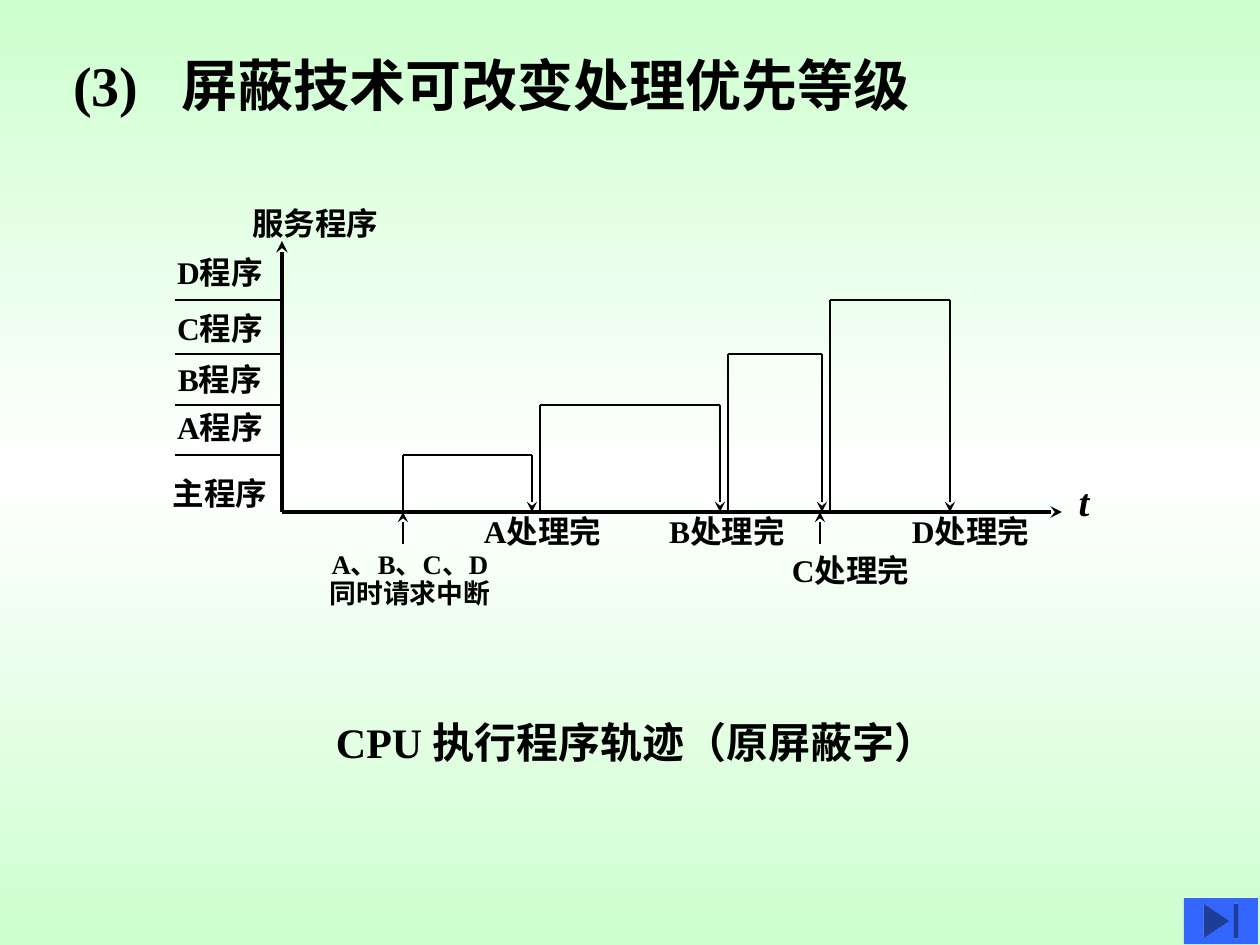
from lxml.etree import SubElement as Sub
from pptx import Presentation as Deck
from pptx.dml.color import RGBColor as Rgb
from pptx.enum.shapes import MSO_CONNECTOR as Link, MSO_SHAPE as Shape
from pptx.enum.text import MSO_ANCHOR as Anchor, PP_ALIGN as Align
from pptx.oxml import parse_xml as parse
from pptx.oxml.ns import nsdecls, qn
from pptx.util import Emu, Pt

SCALE = 914400 / 126
FONT = "Times New Roman"
HUES = {"ink": "000000", "mint": "CDFFCE", "white": "FFFFFF", "blue": "3366FF"}


def px(n):
    return Emu(round(n * SCALE))


def place(shape, x, y, w, h):
    shape.left, shape.top, shape.width, shape.height = map(px, (x, y, w, h))


def write(par, text, size, align=Align.CENTER, slant=False, lead=None):
    par.alignment = align
    par.space_before = Pt(0)
    if lead:
        par.line_spacing = lead
    run = par.add_run()
    run.text = text
    font = run.font
    font.name, font.size, font.bold, font.italic = FONT, Pt(size), True, slant
    font.color.rgb = Rgb.from_string(HUES["ink"])


def inset(frame, side=0, top=0):
    frame.margin_left = frame.margin_right = px(side)
    frame.margin_top = frame.margin_bottom = px(top)


def label(slide, box, lines, size=18, **style):
    frame = slide.shapes.add_textbox(*map(px, box)).text_frame
    frame.word_wrap = True
    inset(frame)
    for i, text in enumerate(lines):
        par = frame.add_paragraph() if i else frame.paragraphs[0]
        write(par, text, size, **style)
    return frame


def line(slide, x1, y1, x2, y2, width, arrow=False):
    link = slide.shapes.add_connector(Link.STRAIGHT, *map(px, (x1, y1, x2, y2)))
    link.line.color.rgb = Rgb.from_string(HUES["ink"])
    link.line.width = Pt(width)
    if arrow:
        Sub(link.line._get_or_add_ln(), qn("a:tailEnd"), type="stealth")
    Sub(link._element.spPr, qn("a:effectLst"))


def paint(slide):
    stops = "".join(
        f'<a:gs pos="{pos}"><a:srgbClr val="{HUES[hue]}"/></a:gs>'
        for pos, hue in ((0, "mint"), (50000, "white"), (100000, "mint"))
    )
    slide.element.cSld.insert(0, parse(
        f'<p:bg {nsdecls("p", "a")}><p:bgPr><a:gradFill rotWithShape="1">'
        f'<a:gsLst>{stops}</a:gsLst><a:lin ang="5400000" scaled="0"/>'
        "</a:gradFill><a:effectLst/></p:bgPr></p:bg>"
    ))


def head(slide, x, y, w, h):
    title = slide.shapes.title
    place(title, x, y, w, h)
    frame = title.text_frame
    inset(frame)
    frame.word_wrap = False
    frame.vertical_anchor = Anchor.MIDDLE
    par = frame.paragraphs[0]
    tabs = Sub(par._p.get_or_add_pPr(), qn("a:tabLst"))
    Sub(tabs, qn("a:tab"), pos=str(px(108)), algn="l")
    write(par, "(3)\t屏蔽技术可改变处理优先等级", 32, Align.LEFT)


def chart(slide, x, y):
    axis, base = x + 118, y + 308
    line(slide, axis, base, x + 898, base, 2.25, True)
    line(slide, axis, base, axis, y + 37, 2.25, True)
    label(slide, (x + 65, y, 173, 48), ["服务程序"])
    label(slide, (x + 888, y + 279, 64, 47), ["t"], 22.2, slant=True, lead=0.9)
    label(slide, (x, y + 270, 112, 47), ["主程序"])

    steps = (
        ("A", 251, 204, 239, 368, 1.5, (310, 308, 137)),
        ("B", 201, 156, 376, 556, 1, (486, 308, 154)),
        ("C", 150, 105, 564, 658, 1, (611, 347, 151)),
        ("D", 96, 49, 666, 786, 1.5, (738, 308, 137)),
    )
    for name, level, row, start, end, fall, (left, top, wide) in steps:
        high, rise, drop = y + level, x + start, x + end
        line(slide, x + 11, high, axis, high, 0.75)
        label(slide, (x, y + row, 112, 47), [name + "程序"])
        line(slide, rise, base, rise, high, 1.5)
        line(slide, rise, high, drop, high, 1.5)
        line(slide, drop, high, drop, base, fall, True)
        label(slide, (x + left, y + top, wide, 45), [name + "处理完"])

    for mark in (239, 656):
        line(slide, x + mark, base + 32, x + mark, base, 0.75, True)
    label(slide, (x + 150, y + 347, 192, 72),
          ["A、B、C、D", "同时请求中断"], 15.3, lead=0.9)


def note(slide, x, y, w, h):
    frame = label(slide, (x, y, w, h), ["CPU 执行程序轨迹（原屏蔽字）"], 24,
                  align=Align.LEFT)
    inset(frame, 13, 6)


def button(slide, x, y, w, h):
    shape = slide.shapes.add_shape(Shape.ACTION_BUTTON_END,
                                   *map(px, (x, y, w, h)))
    shape.shadow.inherit = False
    shape.fill.solid()
    shape.fill.fore_color.rgb = Rgb.from_string(HUES["blue"])
    shape.line.fill.background()


def main():
    deck = Deck()
    deck.slide_width, deck.slide_height = px(1260), px(945)
    slide = deck.slides.add_slide(deck.slide_layouts[5])
    paint(slide)
    head(slide, 73, 55, 914, 59)
    chart(slide, 164, 204)
    note(slide, 323, 711, 714, 63)
    button(slide, 1184, 898, 74, 46)
    deck.save("out.pptx")


if __name__ == "__main__":
    main()
